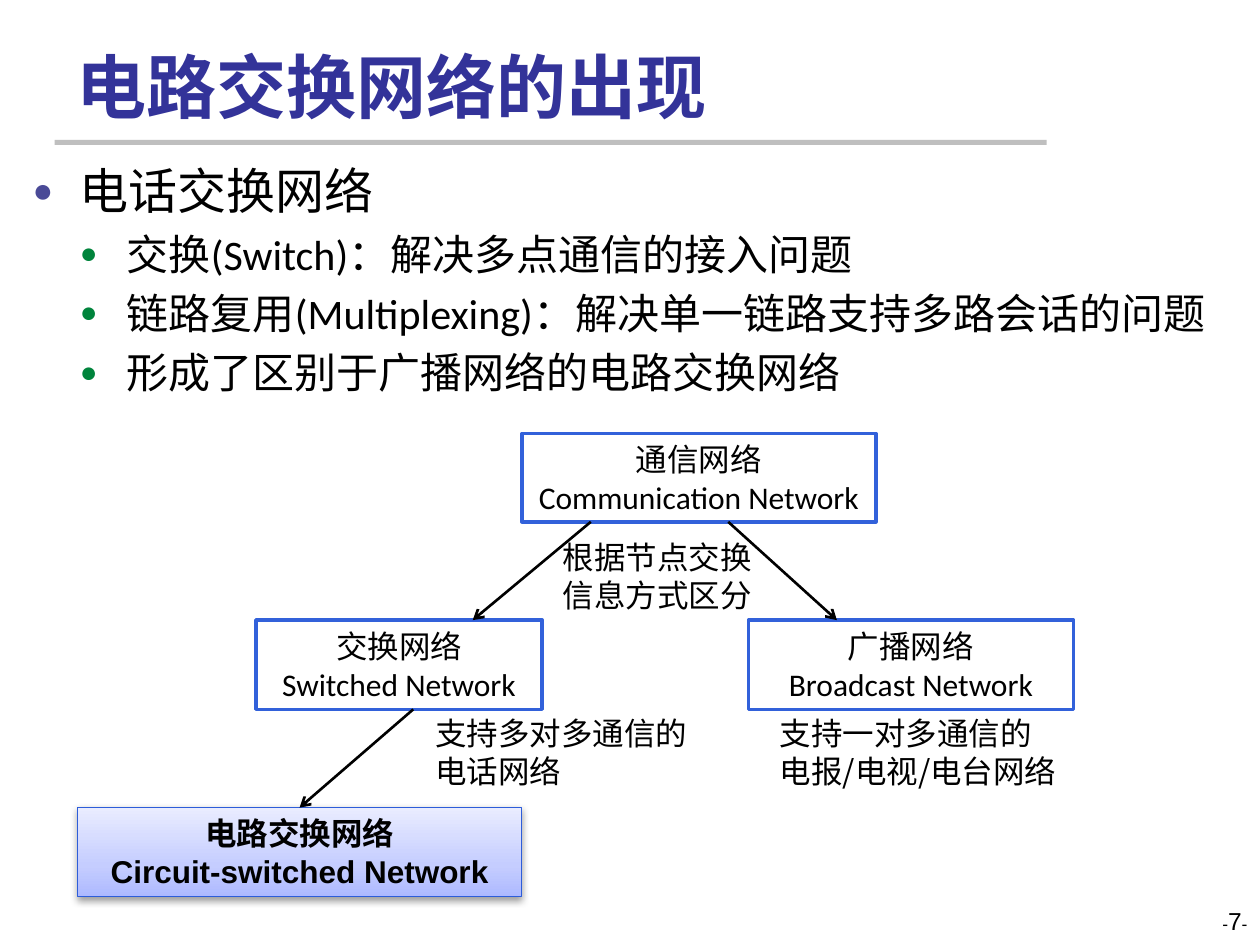
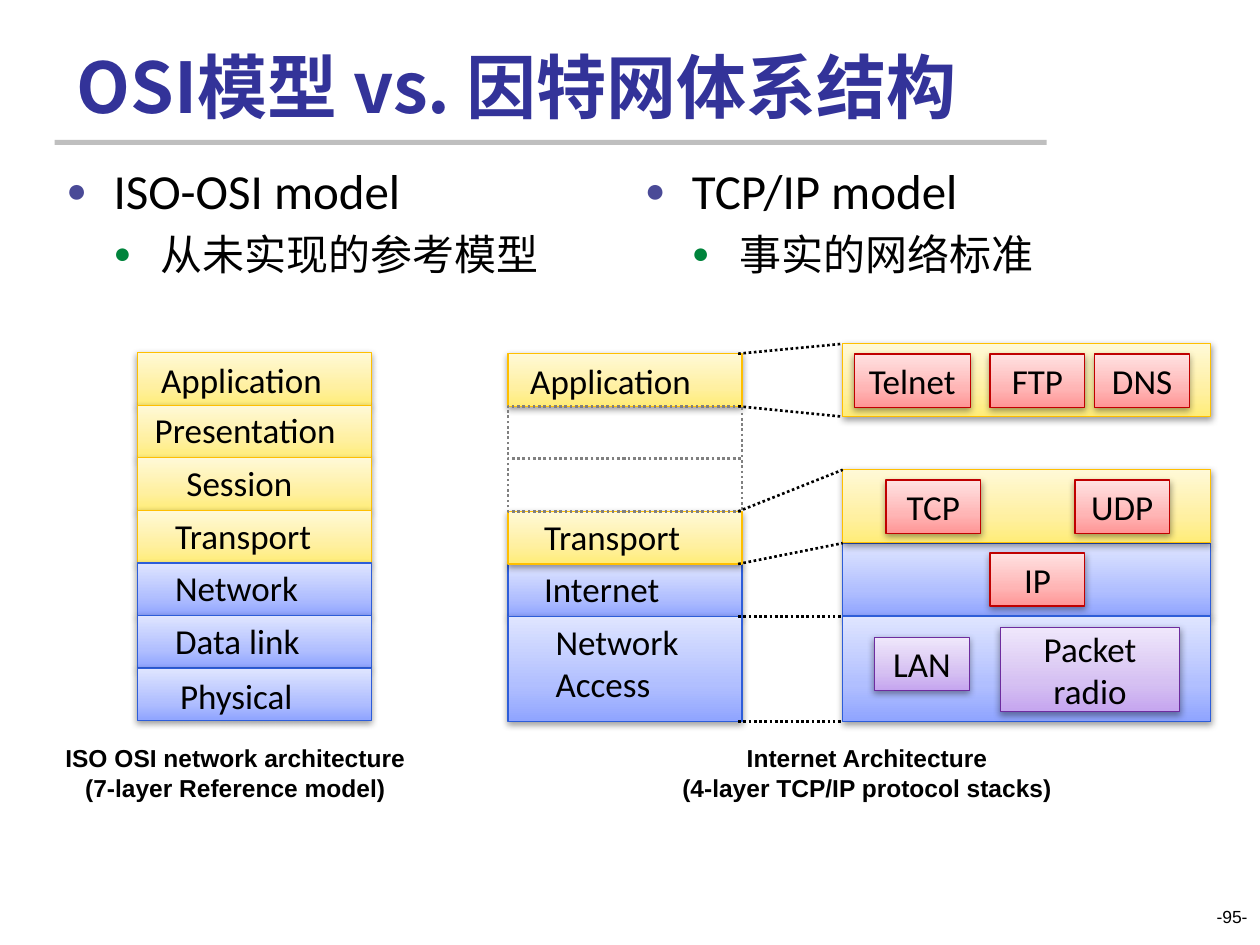
import pptx
import pptx.dml.color
import pptx.enum.dml
import pptx.enum.shapes
import pptx.enum.text
import pptx.oxml
import pptx.oxml.ns
import pptx.util
from lxml import etree

Cm, Pt = pptx.util.Cm, pptx.util.Pt
RGBColor = pptx.dml.color.RGBColor
PP_ALIGN = pptx.enum.text.PP_ALIGN
MSO_ANCHOR = pptx.enum.text.MSO_ANCHOR
MSO_LINE = pptx.enum.dml.MSO_LINE
RECTANGLE = pptx.enum.shapes.MSO_SHAPE.RECTANGLE
STRAIGHT = pptx.enum.shapes.MSO_CONNECTOR.STRAIGHT
qn = pptx.oxml.ns.qn
NSDECL = pptx.oxml.ns.nsdecls("a")

CJK_FONT = "Noto Sans CJK SC"
BLACK = RGBColor(0x00, 0x00, 0x00)
WHITE = RGBColor(0xFF, 0xFF, 0xFF)
GREY = RGBColor(0x80, 0x80, 0x80)
RULE_GREY = RGBColor(0xBF, 0xBF, 0xBF)
TITLE_BLUE = RGBColor(0x33, 0x33, 0x99)
BULLET_COLORS = (RGBColor(0x4A, 0x4A, 0x97), RGBColor(0x00, 0x84, 0x3C))

# Each style is a line colour, a line width and the fill colours from bottom to top
PLAIN = (RGBColor(0x32, 0x61, 0xDA), 2, (WHITE,))
DOTTED = (GREY, 1.5, ())
PALE_BLUE = (RGBColor(0x2D, 0x5D, 0xD9), 0.75, (
    RGBColor(0xAD, 0xB9, 0xFF), RGBColor(0xC5, 0xCD, 0xFF), RGBColor(0xE9, 0xEC, 0xFF)))
BLUE = (RGBColor(0x2D, 0x5D, 0xD9), 0.75, (
    RGBColor(0x8F, 0xA4, 0xFF), RGBColor(0xB1, 0xBF, 0xFF), RGBColor(0xDF, 0xE5, 0xFF)))
YELLOW = (RGBColor(0xFF, 0xBF, 0x00), 0.75, (
    RGBColor(0xFF, 0xED, 0x78), RGBColor(0xFF, 0xF0, 0xA1), RGBColor(0xFF, 0xF9, 0xD7)))
RED = (RGBColor(0xC0, 0x00, 0x00), 0.75, (
    RGBColor(0xFF, 0x95, 0x95), RGBColor(0xFF, 0xB5, 0xB5), RGBColor(0xFF, 0xE2, 0xE2)))
PURPLE = (RGBColor(0x6E, 0x2C, 0x9F), 0.75, (
    RGBColor(0xC5, 0xA5, 0xEF), RGBColor(0xD6, 0xC1, 0xF2), RGBColor(0xEF, 0xE7, 0xFB)))


def write(shape, lines, size, font="Calibri", color=BLACK, bold=False,
          align=PP_ALIGN.LEFT, anchor=MSO_ANCHOR.TOP, wrap=True):
    """Fill a shape with one paragraph per line, all in one format."""
    frame = shape.text_frame
    frame.text = "\n".join(lines)
    frame.word_wrap = wrap
    frame.vertical_anchor = anchor
    for paragraph in frame.paragraphs:
        paragraph.alignment = align
        paragraph.line_spacing = Pt(round(size * 1.2, 1))
        for run in paragraph.runs:
            run.font.size = Pt(size)
            run.font.name = font
            run.font.bold = bold
            run.font.color.rgb = color
            etree.SubElement(run.font._element, qn("a:ea"), typeface=CJK_FONT)
    return shape


def add_box(slide, at, style, lines=(), size=20, font="Calibri", bold=False):
    line_color, line_width, fills = style
    box = slide.shapes.add_shape(RECTANGLE, *map(Cm, at))
    box.shadow.inherit = False
    box.line.color.rgb = line_color
    box.line.width = Pt(line_width)
    if not fills:
        box.fill.background()
        box.line.dash_style = MSO_LINE.ROUND_DOT
    elif len(fills) == 1:
        box.fill.solid()
        box.fill.fore_color.rgb = fills[0]
    else:
        stops = "".join(f'<a:gs pos="{pos}"><a:srgbClr val="{fill}"/></a:gs>'
                        for pos, fill in zip((0, 35000, 100000), fills))
        box._element.spPr.insert(2, pptx.oxml.parse_xml(
            f'<a:gradFill {NSDECL} rotWithShape="1"><a:gsLst>{stops}</a:gsLst>'
            '<a:lin ang="16200000" scaled="0"/></a:gradFill>'))
        box._element.spPr.find(qn("a:effectLst")).append(pptx.oxml.parse_xml(
            f'<a:outerShdw {NSDECL} blurRad="50000" dist="20000" dir="5400000" '
            'rotWithShape="0"><a:srgbClr val="000000"><a:alpha val="38000"/>'
            '</a:srgbClr></a:outerShdw>'))
    if lines:
        write(box, lines, size, font, bold=bold, align=PP_ALIGN.CENTER,
              anchor=MSO_ANCHOR.MIDDLE, wrap=False)
    return box


prs = pptx.Presentation()
prs.slide_width, prs.slide_height = Cm(25.4), Cm(19.05)
circuit_slide, osi_slide = [prs.slides.add_slide(prs.slide_layouts[6]) for _ in range(2)]

# Title, rule and page number
for slide, title, page, page_size in (
        (circuit_slide, "电路交换网络的出现", "7", 14),
        (osi_slide, "OSI模型 vs. 因特网体系结构", "95", 10)):
    rule = slide.shapes.add_shape(RECTANGLE, Cm(1.1), Cm(2.82), Cm(20), Cm(0.1))
    rule.shadow.inherit = False
    rule.fill.solid()
    rule.fill.fore_color.rgb = RULE_GREY
    rule.line.fill.background()
    write(slide.shapes.add_textbox(Cm(1.3), Cm(0.71), Cm(20.96), Cm(1.98)), [title], 40,
          CJK_FONT, TITLE_BLUE, bold=True, anchor=MSO_ANCHOR.BOTTOM)
    footer = slide.shapes.add_textbox(Cm(19.48), Cm(18.14), Cm(5.92), Cm(0.9))
    page_number = footer.text_frame.paragraphs[0]
    page_number.alignment = PP_ALIGN.RIGHT
    for part, size in (("-", 10), (page, page_size), ("-", 10)):
        run = page_number.add_run()
        run.text = part
        run.font.size = Pt(size)
        run.font.name = "Arial"
        run.font.color.rgb = BLACK

# Bulleted text: the first line is the heading, the rest are its points
for slide, at, lines in (
        (circuit_slide, (0.41, 3.12, 24.61, 7),
         ("电话交换网络", "交换(Switch)：解决多点通信的接入问题",
          "链路复用(Multiplexing)：解决单一链路支持多路会话的问题",
          "形成了区别于广播网络的电路交换网络")),
        (osi_slide, (1.09, 3.12, 11.23, 3.4), ("ISO-OSI model", "从未实现的参考模型")),
        (osi_slide, (12.75, 3.12, 11.23, 3.4), ("TCP/IP model", "事实的网络标准"))):
    outline = write(slide.shapes.add_textbox(*map(Cm, at)), lines, 24)
    for index, paragraph in enumerate(outline.text_frame.paragraphs):
        level = min(index, 1)
        paragraph.level = level
        properties = paragraph._p.get_or_add_pPr()
        properties.set("marL", str(Cm(0.95 * (level + 1))))
        properties.set("indent", str(-Cm(0.95)))
        bullet_color = etree.SubElement(properties, qn("a:buClr"))
        etree.SubElement(bullet_color, qn("a:srgbClr"), val=str(BULLET_COLORS[level]))
        etree.SubElement(properties, qn("a:buSzPct"), val="70000")
        etree.SubElement(properties, qn("a:buFont"), typeface="Arial")
        etree.SubElement(properties, qn("a:buChar"), char="●")
        if level:
            paragraph.space_before = Pt(5)
        else:
            paragraph.line_spacing = Pt(33.6)
            paragraph.runs[0].font.size = Pt(28)

# Slide 1: tree of network kinds
for at, lines in (
        ((10.52, 8.74, 7.14, 1.78), ("通信网络", "Communication Network")),
        ((5.16, 12.5, 5.77, 1.8), ("交换网络", "Switched Network")),
        ((15.09, 12.5, 6.55, 1.8), ("广播网络", "Broadcast Network"))):
    add_box(circuit_slide, at, PLAIN, lines, 18)
circuit_network = add_box(circuit_slide, (1.57, 16.28, 8.94, 1.8), PALE_BLUE,
                          ("电路交换网络", "Circuit-switched Network"), 18, "Arial", True)
for at, lines, wrap in (
        ((11.1, 10.72, 4.37, 1.8), ("根据节点交换", "信息方式区分"), False),
        ((15.47, 14.27, 6.4, 1.8), ("支持一对多通信的", "电报/电视/电台网络"), True),
        ((8.53, 14.27, 5.64, 1.8), ("支持多对多通信的", "电话网络"), False)):
    write(circuit_slide.shapes.add_textbox(*map(Cm, at)), lines, 18, CJK_FONT, wrap=wrap)

# Slide 2: the two layer towers, as row, rows spanned, style, label, label indent and width
LAYER_WIDTH, LAYER_HEIGHT = 4.72, 1.06
OSI_LAYERS = (
    (0, 1, YELLOW, ("Application",), 0.23, 3.78),
    (1, 1, YELLOW, ("Presentation",), 0.1, 4.19),
    (2, 1, YELLOW, ("Session",), 0.74, 2.67),
    (3, 1, YELLOW, ("Transport",), 0.51, 3.28),
    (4, 1, BLUE, ("Network",), 0.51, 3.1),
    (5, 1, BLUE, ("Data link",), 0.51, 3.05),
    (6, 1, BLUE, ("Physical",), 0.61, 2.82))
INTERNET_LAYERS = (
    (4, 1, BLUE, ("Internet",), 0.48, 2.9),
    (5, 2, BLUE, ("Network", "Access"), 0.71, 3.1),
    (3, 1, YELLOW, ("Transport",), 0.48, 3.28),
    (0, 1, YELLOW, ("Application",), 0.2, 3.78),
    (1, 1, DOTTED, (), 0, 0),
    (2, 1, DOTTED, (), 0, 0))
for left, tower_top, layers in ((2.77, 7.11, OSI_LAYERS), (10.24, 7.13, INTERNET_LAYERS)):
    for row, span, style, label, indent, label_width in layers:
        top = tower_top + row * LAYER_HEIGHT
        add_box(osi_slide, (left, top, LAYER_WIDTH, span * LAYER_HEIGHT), style)
        if label:
            label_top = top if row in (0, 6) else top - 0.05
            label_at = (left + indent, label_top, label_width, 0.26 + 0.85 * len(label))
            write(osi_slide.shapes.add_textbox(*map(Cm, label_at)), label, 20, wrap=False)

# Protocols in each Internet layer
BAND_LEFT, BAND_WIDTH, CHIP_HEIGHT = 16.99, 7.42, 1.07
for band_top, band_height, band_style, chip_style, protocols in (
        (10.95, 1.47, BLUE, RED, ((19.96, 11.15, 1.91, CHIP_HEIGHT, "IP"),)),
        (12.42, 2.12, BLUE, PURPLE, ((17.63, 12.85, 1.91, CHIP_HEIGHT, "LAN"),
                                     (20.17, 12.65, 3.61, 1.7, "Packet\nradio"))),
        (9.47, 1.47, YELLOW, RED, ((17.86, 9.68, 1.91, CHIP_HEIGHT, "TCP"),
                                   (21.67, 9.68, 1.91, CHIP_HEIGHT, "UDP"))),
        (6.93, 1.47, YELLOW, RED, ((17.22, 7.14, 2.34, CHIP_HEIGHT, "Telnet"),
                                   (19.96, 7.14, 1.91, CHIP_HEIGHT, "FTP"),
                                   (22.07, 7.14, 1.91, CHIP_HEIGHT, "DNS")))):
    add_box(osi_slide, (BAND_LEFT, band_top, BAND_WIDTH, band_height), band_style)
    for *at, protocol in protocols:
        add_box(osi_slide, at, chip_style, protocol.split("\n"))

for at, lines in (
        ((0.58, 14.86, 8.33, 1.45),
         ("ISO OSI network architecture", "(7-layer Reference model)")),
        ((13.11, 14.86, 8.74, 1.45),
         ("Internet Architecture", "(4-layer TCP/IP protocol stacks)"))):
    write(osi_slide.shapes.add_textbox(*map(Cm, at)), lines, 14, "Arial", bold=True,
          align=PP_ALIGN.CENTER)

# Arrows of the tree and dotted links from the Internet layers to their protocols
tree_arrows = ((11.91, 10.52, 9.53, 12.5), (14.68, 10.52, 16.87, 12.5),
               (8.33, 14.3, 6.04, 16.28))
layer_links = [(14.88, start, BAND_LEFT, end) for start, end in (
    (7.13, 6.93), (8.19, 8.4), (10.31, 9.47), (11.37, 10.95), (12.43, 12.43), (14.55, 14.55))]
for slide, links in ((circuit_slide, tree_arrows), (osi_slide, layer_links)):
    for ends in links:
        link = slide.shapes.add_connector(STRAIGHT, *map(Cm, ends))
        link.line.color.rgb = BLACK
        link.line.width = Pt(1.5)
        if slide is osi_slide:
            link.line.dash_style = MSO_LINE.ROUND_DOT
        else:
            etree.SubElement(link._element.spPr.find(qn("a:ln")), qn("a:tailEnd"), type="arrow")
            if ends is tree_arrows[-1]:
                link.end_connect(circuit_network, 0)
        etree.SubElement(link._element.spPr, qn("a:effectLst"))

prs.save("out.pptx")
